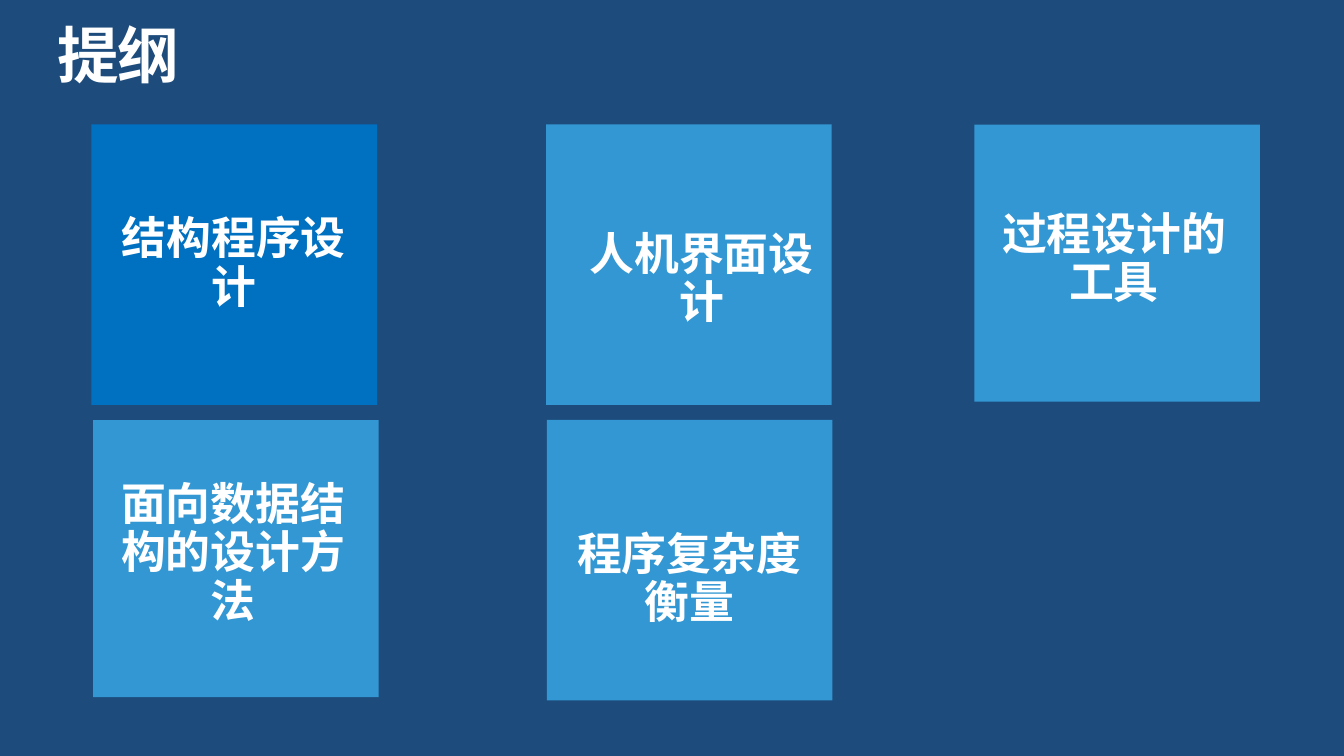
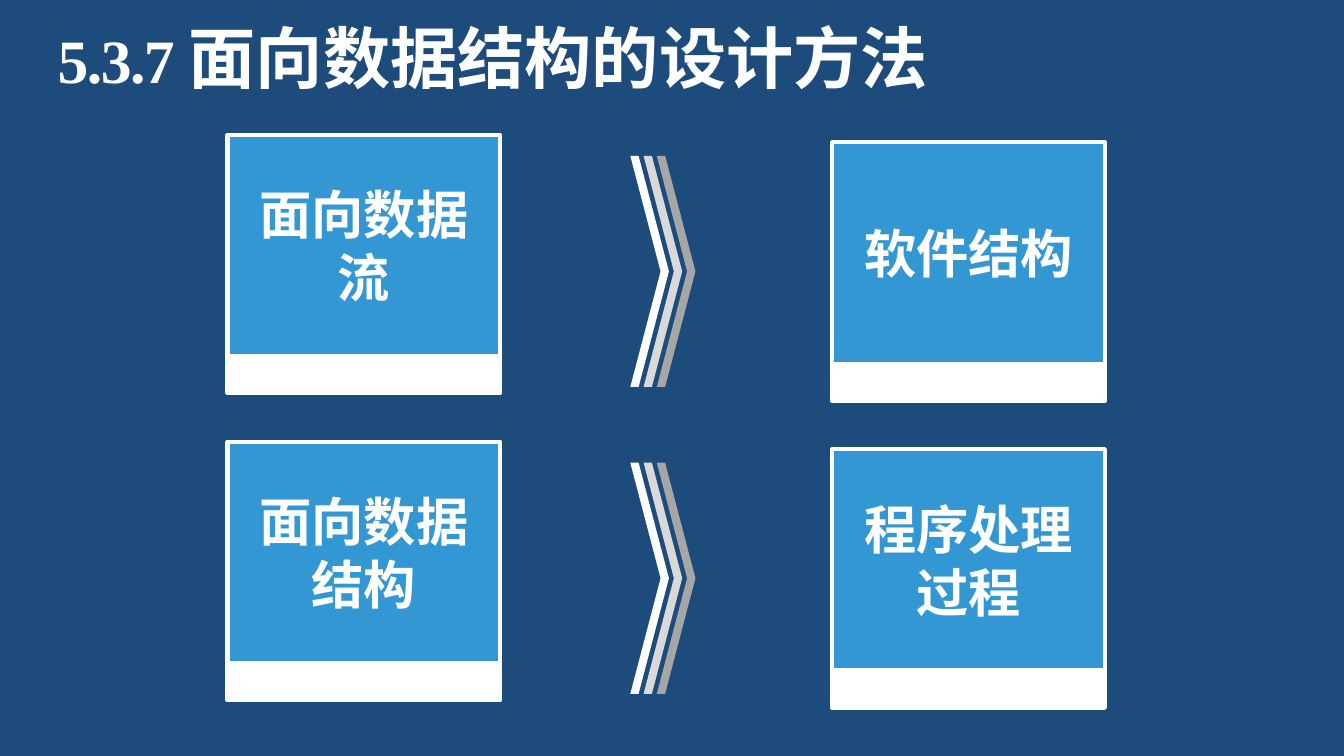
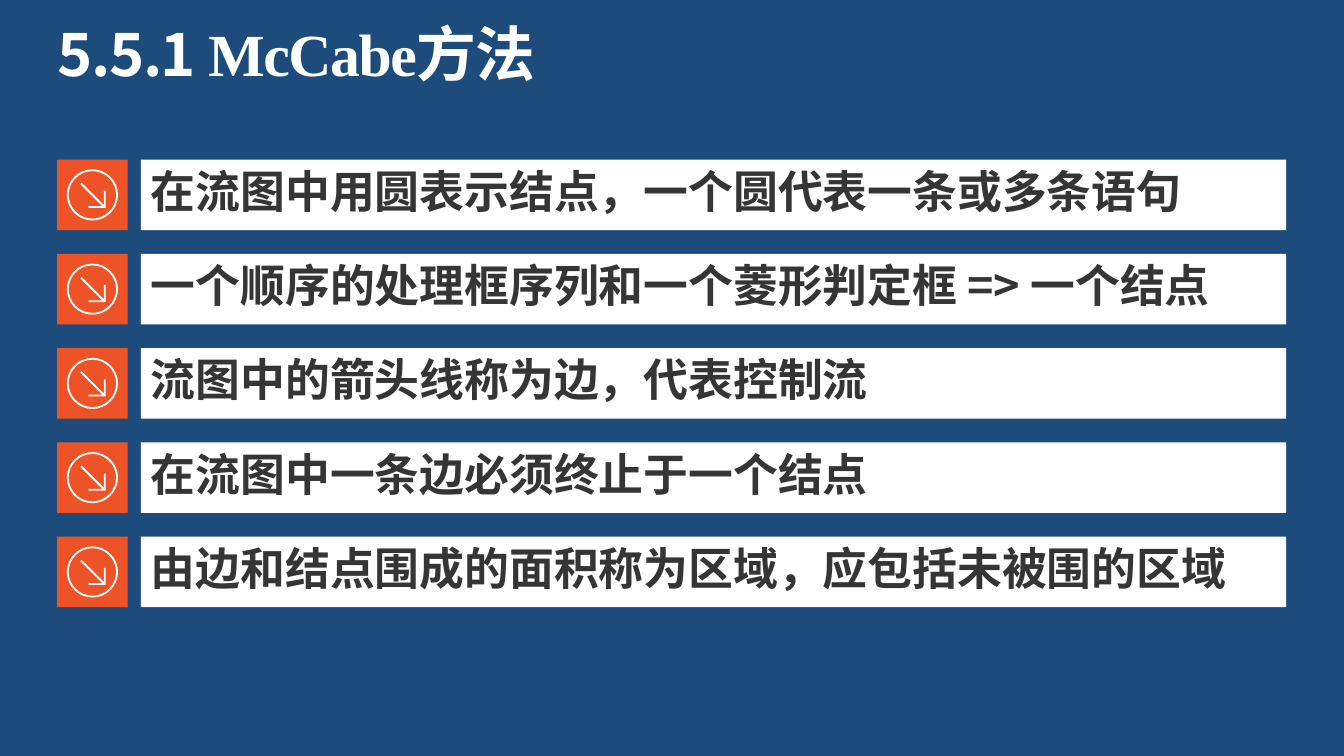
"""Build three slides on detailed software design: outline, methods and McCabe rules."""
from dataclasses import dataclass
from typing import Any, Optional

from lxml import etree
from pptx import Presentation
from pptx import util as u
from pptx.dml import color
from pptx.enum import shapes, text
from pptx.oxml import ns

HUES = {
    "navy": "1D4C7C", "blue": "0070C0", "sky": "3397D3", "white": "FFFFFF",
    "light": "D9D9D9", "gray": "A6A6A6", "orange": "ED5326", "ink": "363535",
}
SANS, SERIF = "Noto Sans CJK SC", "Times New Roman"
RECT, CHEVRON = shapes.MSO_SHAPE.RECTANGLE, shapes.MSO_SHAPE.CHEVRON
TOP, MIDDLE = text.MSO_ANCHOR.TOP, text.MSO_ANCHOR.MIDDLE
LEFT, CENTER = text.PP_ALIGN.LEFT, text.PP_ALIGN.CENTER
GROW = {"auto_size": text.MSO_AUTO_SIZE.SHAPE_TO_FIT_TEXT}


@dataclass(frozen=True)
class Box:
    x: float
    y: float
    w: float
    h: float

    def pts(self) -> tuple:
        return tuple(u.Pt(v) for v in (self.x, self.y, self.w, self.h))


@dataclass(frozen=True)
class Run:
    words: str
    size: float
    face: str = SANS
    hue: str = "white"
    gap: float = 0


@dataclass(frozen=True)
class Tile:
    box: Box
    label: Box
    words: str
    hue: str = "sky"
    solid: bool = False


@dataclass(frozen=True)
class Card:
    col: int
    row: int
    words: str


HEAD = Box(30.8, 13.5, 659, 36)
TILES = [
    Tile(Box(49, 66.7, 153, 150.3), Box(60.7, 115.4, 129, 52.5), "结构程序设计", "blue", True),
    Tile(Box(292.6, 66.7, 153, 150.3), Box(311.3, 123.8, 129, 52.5), "人机界面设计"),
    Tile(Box(522, 66.7, 153, 148.5), Box(532.3, 113, 129, 52.5), "过程设计的工具"),
    Tile(Box(293, 225, 153, 150.3), Box(304.7, 284.6, 129, 52.5), "程序复杂度衡量"),
    Tile(Box(49.9, 225, 153, 148.5), Box(60.4, 257.7, 129, 78.5), "面向数据结构的设计方法"),
]
CARDS = [
    Card(0, 0, "面向数据流"), Card(1, 0, "软件结构"),
    Card(0, 1, "面向数据结构"), Card(1, 1, "程序处理过程"),
]
CARD_PITCH = 164.4
RULES = [
    "在流图中用圆表示结点，一个圆代表一条或多条语句",
    "一个顺序的处理框序列和一个菱形判定框 => 一个结点",
    "流图中的箭头线称为边，代表控制流",
    "在流图中一条边必须终止于一个结点",
    "由边和结点围成的面积称为区域，应包括未被围的区域",
]
RING = [
    (0, -1), (-0.55, -1), (-1, -0.55), (-1, 0), (-1, 0.55), (-0.55, 1), (0, 1),
    (0.55, 1), (1, 0.55), (1, 0), (1, -0.55), (0.55, -1), (0, -1),
]
ARROW = [
    (6.1, -2.2), (7.1, -2.2), (7.1, 7), (-2.2, 7), (-2.2, 6),
    (5.3, 6), (-6.5, -5.7), (-5.8, -6.5), (6.1, 5.3),
]


def tint(name: str) -> color.RGBColor:
    return color.RGBColor.from_string(HUES[name])


def apply(item: Any, vals: dict) -> None:
    for key, val in vals.items():
        setattr(item, key, val)


def write(shape: Any, runs: list[Run], align: Any, anchor: Any, inset: Optional[float] = 0,
          lines: Optional[float] = 0.9, **more: Any) -> None:
    frame = shape.text_frame
    apply(frame, {"word_wrap": True, "vertical_anchor": anchor, **more})
    if inset is not None:
        sides = ("left", "top", "right", "bottom")
        apply(frame, {f"margin_{side}": u.Pt(inset) for side in sides})
    para = frame.paragraphs[0]
    apply(para, {"alignment": align, "line_spacing": lines, "space_before": u.Pt(0)})
    for part in runs:
        run = para.add_run()
        run.text = part.words
        apply(run.font, {"name": part.face, "size": u.Pt(part.size), "bold": True})
        run.font.color.rgb = tint(part.hue)
        props = run.font._element
        props.set("spc", str(int(part.gap * 100)))
        etree.SubElement(props, ns.qn("a:ea"), typeface=part.face)


def paint(shape: Any, hue: str, edge: Optional[str] = None) -> Any:
    shape.shadow.inherit = False
    shape.fill.solid()
    shape.fill.fore_color.rgb = tint(hue)
    if edge:
        shape.line.color.rgb = tint(edge)
        shape.line.width = u.Pt(2.25)
    else:
        shape.line.fill.background()
    return shape


def draw(home: Any, box: Box, hue: str, edge: Optional[str] = None, kind: Any = RECT) -> Any:
    return paint(home.add_shape(kind, *box.pts()), hue, edge)


def start(deck: Any, runs: list[Run]) -> Any:
    slide = deck.slides.add_slide(deck.slide_layouts[5])
    title = slide.shapes.title
    apply(title, dict(zip(("left", "top", "width", "height"), HEAD.pts())))
    write(title, runs, LEFT, TOP, **GROW)
    return slide.shapes


def add_tile(home: Any, tile: Tile) -> None:
    group = home.add_group_shape().shapes
    draw(group, tile.box, tile.hue)
    if tile.solid:
        label = draw(group, tile.label, tile.hue)
    else:
        label = group.add_textbox(*tile.label.pts())
    write(label, [Run(tile.words, 24)], CENTER, MIDDLE, **GROW)


def add_card(home: Any, card: Card) -> None:
    group = home.add_group_shape().shapes
    x, y = 121.9 + 324 * card.col, 72.2 + 4.1 * card.col + CARD_PITCH * card.row
    face = draw(group, Box(x, y, 146, 118.6), "sky", "white")
    write(face, [Run(card.words, 28)], CENTER, MIDDLE, inset=None, lines=None)
    draw(group, Box(x, y + 118.6, 146, 20), "white", "white")


def add_arrows(home: Any, row: int) -> None:
    group = home.add_group_shape().shapes
    for step, hue in ((1, "light"), (2, "gray"), (0, "white")):
        box = Box(337.7 + 7.1 * step, 83.5 + CARD_PITCH * row, 20.7, 123.8)
        draw(group, box, hue, kind=CHEVRON).adjustments[0] = 0.784


def curve(shape: Any, count: int) -> None:
    lines = list(shape._element.iter(ns.qn("a:lnTo")))[:count]
    for k in range(0, count, 3):
        bend = etree.Element(ns.qn("a:cubicBezTo"))
        lines[k].addprevious(bend)
        for line in lines[k:k + 3]:
            bend.append(line[0])
            line.getparent().remove(line)


def add_icon(home: Any, x: float, y: float) -> None:
    rings = [[(dx * size, dy * size) for dx, dy in RING] for size in (13.7, 12.7)]
    loops = [[(u.Pt(x + dx), u.Pt(y + dy)) for dx, dy in loop] for loop in (*rings, ARROW)]
    pen = home.build_freeform(*loops[0][0])
    pen.add_line_segments(loops[0][1:], close=True)
    for loop in loops[1:]:
        pen.move_to(*loop[0])
        pen.add_line_segments(loop[1:], close=True)
    icon = paint(pen.convert_to_shape(), "white")
    curve(icon, 2 * (len(RING) - 1))


def add_rule(home: Any, row: int, words: str) -> None:
    y, side = 85.5 + 50.5 * row, 37.8
    bar = draw(home, Box(75.5, y, 613.6, side), "white")
    write(bar, [Run(words, 24, hue="ink")], LEFT, TOP, inset=5.4)
    group = home.add_group_shape().shapes
    draw(group, Box(30.6, y, side, side), "orange")
    add_icon(group, 30.6 + side / 2, y + side / 2)


def main() -> None:
    deck = Presentation()
    apply(deck, {"slide_width": u.Pt(720), "slide_height": u.Pt(405)})
    back = deck.slide_master.background.fill
    back.solid()
    back.fore_color.rgb = tint("navy")

    home = start(deck, [Run("提纲", 33, gap=-0.8)])
    for tile in TILES:
        add_tile(home, tile)

    home = start(deck, [Run("5.3.7 ", 33, SERIF, gap=-0.8), Run("面向数据结构的设计方法", 36)])
    for card in CARDS:
        add_card(home, card)
    for row in range(2):
        add_arrows(home, row)

    home = start(deck, [Run("5.5.1 ", 32, gap=-0.8), Run("McCabe", 32, SERIF, gap=-0.8),
                        Run("方法", 32, gap=-0.8)])
    for row, words in enumerate(RULES):
        add_rule(home, row, words)

    deck.save("out.pptx")


if __name__ == "__main__":
    main()
